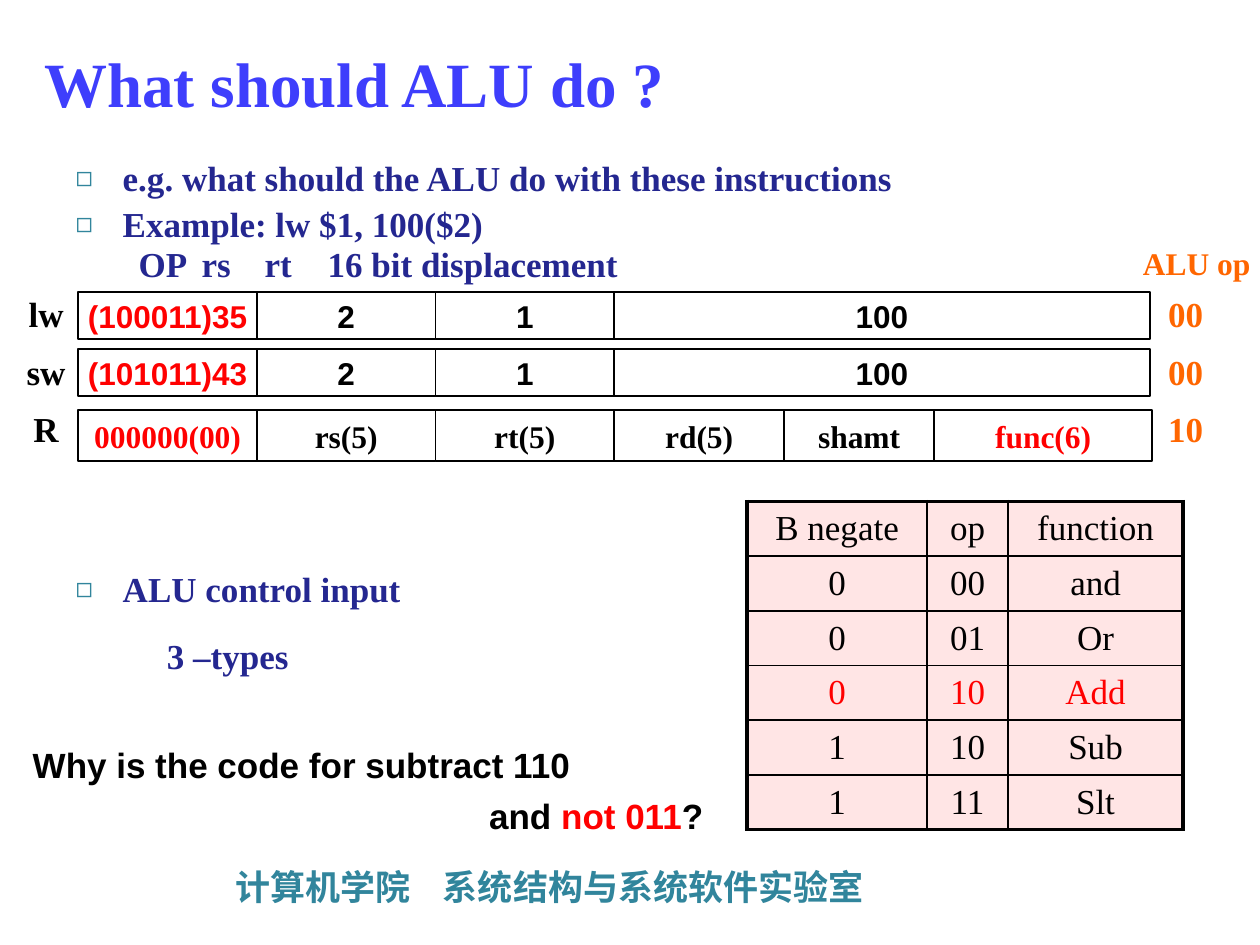
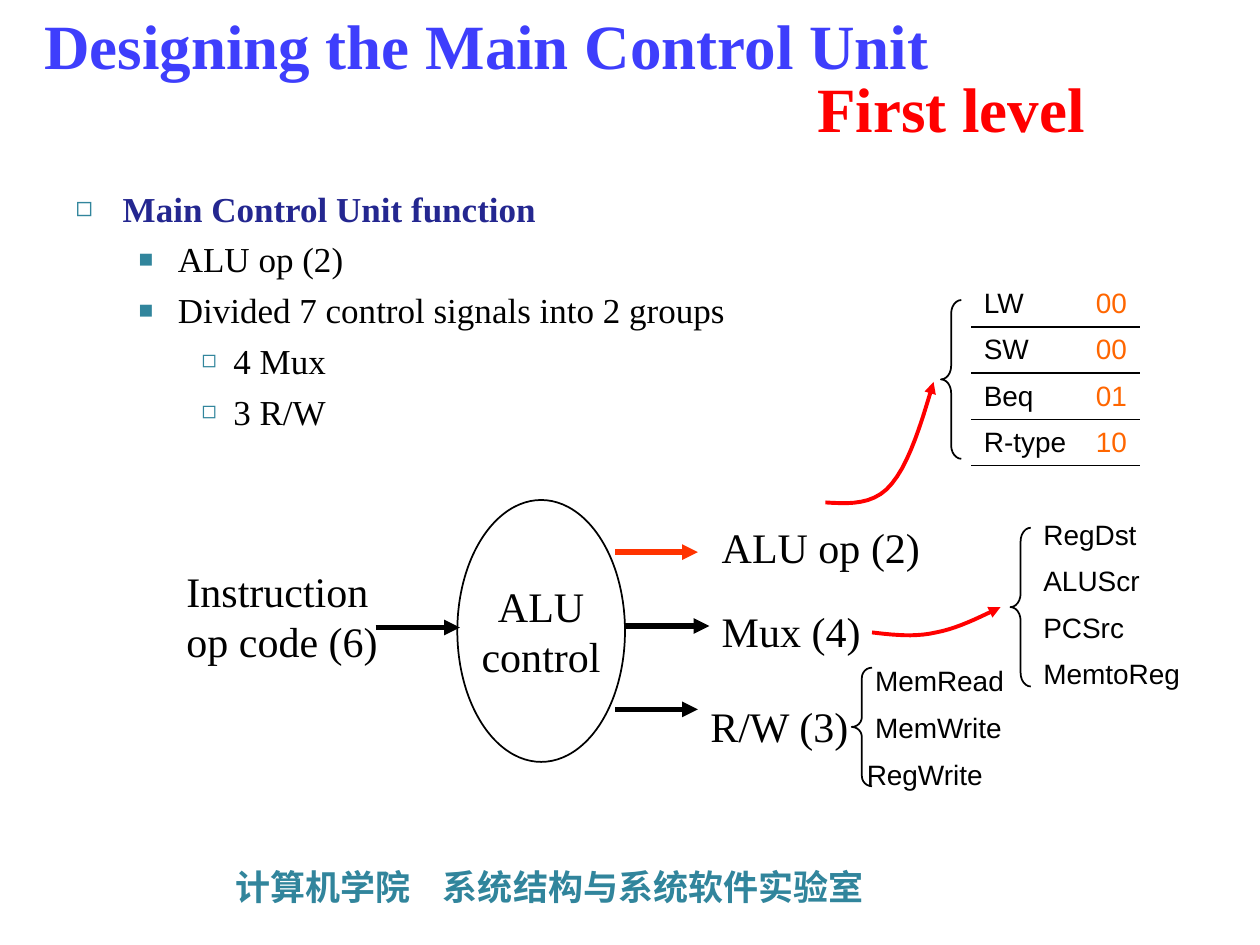
from lxml import etree
from pptx import Presentation
from pptx import util as u
from pptx.dml.color import RGBColor
from pptx.enum import shapes, text
from pptx.oxml.ns import qn

SERIF, SANS, CJK = "Times New Roman", "Arial", "Noto Sans CJK SC"
BLACK, RED, ORANGE, TEAL = "000000", "FF0000", "FF6600", "31859C"
TITLE_BLUE, LIST_BLUE, PINK = "3E3EFC", "242790", "FFE5E5"
CENTER, RIGHT = text.PP_ALIGN.CENTER, text.PP_ALIGN.RIGHT
MIDDLE = text.MSO_ANCHOR.MIDDLE
rgb = RGBColor.from_string


def write(para, content, size, colour, name=SERIF, bold=False, align=text.PP_ALIGN.LEFT, before=0):
    para.text = content
    para.alignment = align
    para.space_before = u.Pt(before)
    font = para.font
    font.size, font.name, font.bold = u.Pt(size), name, bold
    font.color.rgb = rgb(colour)


def add_text(page, place, lines, size, colour, before=0, wrap=True, **look):
    box = page.shapes.add_textbox(*map(u.Cm, place))
    frame = box.text_frame
    frame.word_wrap = wrap
    for i, line in enumerate(lines):
        para = frame.add_paragraph() if i else frame.paragraphs[0]
        write(para, line, size, colour, before=before if i else 0, **look)
    return box


deck = Presentation()
deck.slide_width, deck.slide_height = u.Cm(25.4), u.Cm(19.05)
layout = deck.slide_layouts[1]

# Titles and lists: (left margin, first-line indent, bullet, bullet size %, colour, bold)
kinds = {
    "main": (0.95, -0.95, "◻", 80, LIST_BLUE, True),
    "sub": (2.06, -0.79, "■", 70, BLACK, False),
    "detail": (3.18, -0.64, "◻", 70, BLACK, False),
    "plain": (1.84, 0, None, 0, LIST_BLUE, True),
    "header": (0, 0, None, 0, LIST_BLUE, True),
}
levels = {"sub": 1, "detail": 2}
field_tabs = [1.66, 5.27, 8.86, 12.71]

# Title lines are (text, colour, indent); list lines are (kind, text, space before, line spacing)
outline = [
    ([("What should ALU do ?", TITLE_BLUE, 0)], 2.92, [
        ("main", "e.g. what should the ALU do with these instructions", 0, 1),
        ("main", "Example: lw $1, 100($2)", 5, 0.9),
        ("header", "\tOP\trs\trt\t16 bit displacement", 1, 0.9),
        ("main", "ALU control input", 161.5, 1),
        ("plain", "3 –types", 14.5, 1)]),
    ([("Designing the Main Control Unit", TITLE_BLUE, 0), ("First level", RED, 15.58)], 3.53, [
        ("main", "Main Control Unit function", 0, 1),
        ("sub", "ALU op (2)", 5, 1),
        ("sub", "Divided 7 control signals into 2 groups", 5, 1),
        ("detail", "4 Mux", 5, 1),
        ("detail", "3 R/W", 5, 1)]),
]
for title_lines, body_top, items in outline:
    page = deck.slides.add_slide(layout)
    title, body = page.placeholders
    for box, place in ((title, (0.64, 0.33, 21.87, 2.64)), (body, (1.27, body_top, 22.86, 13.79))):
        box.left, box.top, box.width, box.height = map(u.Cm, place)
        box.text_frame.auto_size = text.MSO_AUTO_SIZE.NONE
    title.text_frame.vertical_anchor = MIDDLE
    for i, (line, colour, indent) in enumerate(title_lines):
        para = title.text_frame.add_paragraph() if i else title.text_frame.paragraphs[0]
        para._p.get_or_add_pPr().set("marL", str(u.Cm(indent)))
        write(para, line, 36, colour, bold=True)
        if len(title_lines) > 1:
            para.line_spacing = u.Pt(36)

    body.text_frame.margin_top = u.Cm(0.24)
    for i, (kind, line, before, spacing) in enumerate(items):
        margin, indent, bullet, percent, colour, bold = kinds[kind]
        para = body.text_frame.add_paragraph() if i else body.text_frame.paragraphs[0]
        para.level = levels.get(kind, 0)
        props = para._p.get_or_add_pPr()
        props.set("marL", str(u.Cm(margin)))
        props.set("indent", str(u.Cm(indent)))
        if bullet:
            tint = etree.SubElement(props, qn("a:buClr"))
            etree.SubElement(tint, qn("a:srgbClr"), val=TEAL)
            etree.SubElement(props, qn("a:buSzPct"), val=str(percent * 1000))
            etree.SubElement(props, qn("a:buChar"), char=bullet)
        else:
            etree.SubElement(props, qn("a:buNone"))
        if kind == "header":
            stops = etree.SubElement(props, qn("a:tabLst"))
            for stop in field_tabs:
                etree.SubElement(stops, qn("a:tab"), pos=str(u.Cm(stop)), algn="l")
        write(para, line, 20, colour, bold=bold, before=before)
        para.line_spacing = spacing

alu_page, control_page = deck.slides

# Footer, shared through the layout
footer = alu_page.shapes.add_textbox(u.Cm(4.5), u.Cm(17.32), u.Cm(18.39), u.Cm(1.12))
footer.text_frame.word_wrap = True
para = footer.text_frame.paragraphs[0]
props = para._p.get_or_add_pPr()
stops = etree.SubElement(props, qn("a:tabLst"))
etree.SubElement(stops, qn("a:tab"), pos=str(u.Cm(4.18)), algn="l")
write(para, "计算机学院\t系统结构与系统软件实验室", 20, TEAL, CJK, True)
etree.SubElement(props.find(qn("a:defRPr")), qn("a:ea"), typeface=CJK)
layout.shapes.element.append(footer.element)

# Instruction formats: (top, height, font, field widths, field texts)
memory_widths = [3.6, 3.6, 3.6, 10.8]
formats = [
    (5.89, 0.94, SANS, memory_widths, ["(100011)35", "2", "1", "100"]),
    (7.04, 0.94, SANS, memory_widths, ["(101011)43", "2", "1", "100"]),
    (8.26, 1.04, SERIF, [3.6, 3.6, 3.6, 3.43, 3.02, 4.4],
     ["000000(00)", "rs(5)", "rt(5)", "rd(5)", "shamt", "func(6)"]),
]
for top, height, name, widths, fields in formats:
    left = 1.58
    for i, (width, field) in enumerate(zip(widths, fields)):
        box = alu_page.shapes.add_shape(shapes.MSO_SHAPE.RECTANGLE, *map(u.Cm, (left, top, width, height)))
        box.shadow.inherit = False
        box.fill.background()
        box.line.color.rgb, box.line.width = rgb(BLACK), u.Pt(1)
        box.text_frame.word_wrap = False
        box.text_frame.vertical_anchor = MIDDLE
        colour = RED if i == 0 or field == "func(6)" else BLACK
        write(box.text_frame.paragraphs[0], field, 18, colour, name, True, CENTER)
        left += width

# Labels beside the formats, and the question
beside = dict(before=9, wrap=False, bold=True, align=CENTER)
add_text(alu_page, (0.28, 5.77, 1.3, 3.48), ["lw", "sw", "R"], 20, BLACK, **beside)
add_text(alu_page, (23.29, 5.77, 1.22, 3.48), ["00", "00", "10"], 20, ORANGE, **beside)
add_text(alu_page, (22.78, 4.8, 2.69, 1.02), ["ALU op"], 18, ORANGE, **beside)

question = add_text(alu_page, (0.41, 14.86, 14.02, 2.13), ["Why is the code for subtract 110", "and "],
                    20, BLACK, before=5, name=SANS, bold=True)
para = question.text_frame.paragraphs[1]
para.alignment = RIGHT
span = para.add_run()
span.text = "not 011"
span.font.color.rgb = rgb(RED)
para.add_run().text = "?"

# Control unit and its signals
unit = control_page.shapes.add_shape(shapes.MSO_SHAPE.OVAL, *map(u.Cm, (9.22, 10.08, 3.38, 5.28)))
unit.shadow.inherit = False
unit.fill.solid()
unit.fill.fore_color.rgb = rgb("FFFFFF")
unit.line.color.rgb, unit.line.width = rgb(BLACK), u.Pt(1)
unit.text_frame.word_wrap = False
unit.text_frame.vertical_anchor = MIDDLE
write(unit.text_frame.paragraphs[0], "ALU", 24, BLACK, align=CENTER)
write(unit.text_frame.add_paragraph(), "control", 24, BLACK, align=CENTER)

for label, left, top, width, height in [
    ("Instruction op code (6)", 3.51, 11.27, 4.65, 2.29),
    ("ALU op (2)", 14.3, 10.39, 5.08, 1.27),
    ("Mux (4)", 14.3, 12.09, 5.08, 1.27),
    ("R/W (3)", 14.07, 14, 5.08, 1.27),
]:
    add_text(control_page, (left, top, width, height), [label], 24, BLACK)

# Straight arrows
arrows = []
for start, end, y, colour in [
    (7.57, 9.27, 12.65, BLACK),
    (12.4, 14.07, 11.13, "FF3300"),
    (12.6, 14.3, 12.62, BLACK),
    (12.4, 14.07, 14.3, BLACK),
]:
    arrow = control_page.shapes.add_connector(shapes.MSO_CONNECTOR.STRAIGHT, *map(u.Cm, (start, y, end, y)))
    arrow.line.color.rgb, arrow.line.width = rgb(colour), u.Pt(3)
    arrows.append(arrow)

# Curved arrows: a start point, then cubic segments of three points each
curves = [
    [(17.58, 12.75), (18.01, 12.8), (18.44, 12.85), (18.87, 12.75), (19.3, 12.67), (19.74, 12.45), (20.17, 12.24)],
    [(16.64, 10.13), (17.12, 10.16), (17.63, 10.19), (17.98, 9.75), (18.34, 9.32), (18.59, 8.48), (18.82, 7.7)],
]
STEPS = 10
for knots in curves:
    points = []
    for first in range(0, len(knots) - 1, 3):
        for step in range(1, STEPS + 1):
            t = step / STEPS
            weights = ((1 - t) ** 3, 3 * t * (1 - t) ** 2, 3 * t * t * (1 - t), t ** 3)
            points.append([u.Cm(sum(w * knot[axis] for w, knot in zip(weights, knots[first:first + 4])))
                           for axis in (0, 1)])
    outline_builder = control_page.shapes.build_freeform(*map(u.Cm, knots[0]))
    outline_builder.add_line_segments(points, close=False)
    curve = outline_builder.convert_to_shape()
    curve.fill.background()
    curve.line.color.rgb, curve.line.width = rgb(RED), u.Pt(2.25)
    arrows.append(curve)

for arrow in arrows:
    props = arrow.element.spPr
    etree.SubElement(props.find(qn("a:ln")), qn("a:tailEnd"), type="triangle")
    etree.SubElement(props, qn("a:effectLst"))

# Braces
for left, top, height, bend in [(17.17, 13.46, 2.39, 0.5), (20.37, 10.64, 3.2, 0.67), (18.97, 6.05, 3.2, 0.67)]:
    brace = control_page.shapes.add_shape(shapes.MSO_SHAPE.LEFT_BRACE, *map(u.Cm, (left, top, 0.41, height)))
    brace.shadow.inherit = False
    brace.adjustments[0] = bend
    brace.fill.background()
    brace.line.color.rgb, brace.line.width = rgb(BLACK), u.Pt(1)

# Tables: (page, left, top, column widths, row height, border style, rows)
tables = [
    (alu_page, 15.06, 10.11, [3.63, 1.63, 3.53], 1.1, "grid", [
        ["B negate", "op", "function"], ["0", "00", "and"], ["0", "01", "Or"],
        ["0", "10", "Add"], ["1", "10", "Sub"], ["1", "11", "Slt"]]),
    (control_page, 20.78, 10.34, [3.4], 0.93, "none", [["RegDst"], ["ALUScr"], ["PCSrc"], ["MemtoReg"]]),
    (control_page, 17.22, 13.26, [3.56], 0.95, "none", [["MemRead"], ["MemWrite"], ["RegWrite"]]),
    (control_page, 19.58, 5.66, [2.26, 1.14], 0.93, "rules", [
        ["LW", "00"], ["SW", "00"], ["Beq", "01"], ["R-type", "10"]]),
]
NO_STYLE = "{2D5ABB26-0587-4C30-8999-92F81FD0307C}"
for page, left, top, widths, height, borders, rows in tables:
    last_row, last_col = len(rows) - 1, len(widths) - 1
    size = map(u.Cm, (left, top, sum(widths), height * len(rows)))
    table = page.shapes.add_table(len(rows), len(widths), *size).table
    table.first_row = table.horz_banding = False
    table._tbl.tblPr[0].text = NO_STYLE
    for column, width in zip(table.columns, widths):
        column.width = u.Cm(width)
    for r, row in enumerate(rows):
        table.rows[r].height = u.Cm(height)
        for c, value in enumerate(row):
            cell = table.cell(r, c)
            cell.vertical_anchor = MIDDLE
            if value in ("MemRead", "MemWrite"):
                cell.margin_left = u.Cm(0.42)
            edges = {"none": {}, "rules": {"B": False}, "grid": {
                "L": c == 0, "R": c == last_col, "T": r == 0, "B": r == last_row}}[borders]
            for side, outer in edges.items():
                edge = etree.SubElement(cell._tc.get_or_add_tcPr(), qn("a:ln" + side),
                                        w=str(u.Pt(2.25 if outer else 1)))
                paint = etree.SubElement(edge, qn("a:solidFill"))
                etree.SubElement(paint, qn("a:srgbClr"), val=BLACK)
            para = cell.text_frame.paragraphs[0]
            if borders == "grid":
                cell.fill.solid()
                cell.fill.fore_color.rgb = rgb(PINK)
                write(para, value, 20, RED if "Add" in row else BLACK, align=CENTER)
            else:
                cell.fill.background()
                write(para, value, 16, ORANGE if c else BLACK, SANS)

deck.save("out.pptx")
